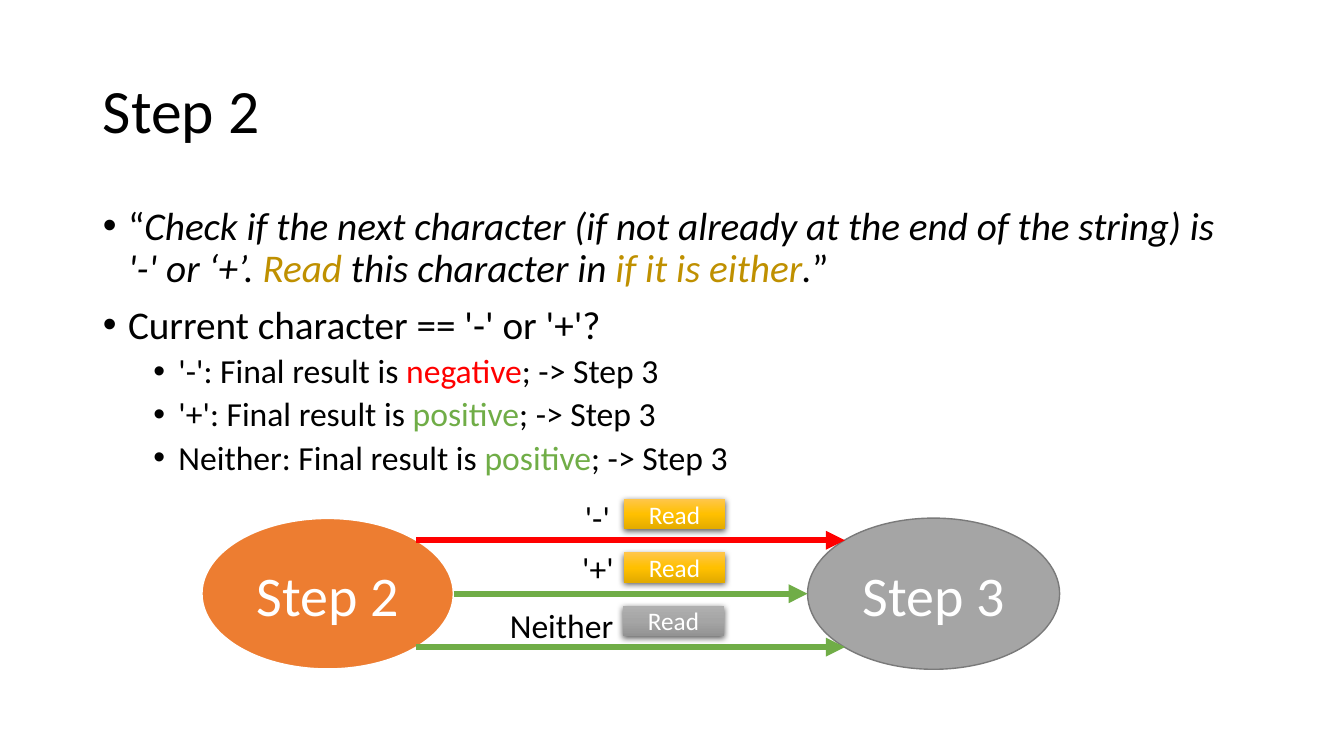
from lxml import etree
from pptx import Presentation
from pptx.dml.color import RGBColor
from pptx.enum.shapes import MSO_CONNECTOR, MSO_SHAPE
from pptx.enum.text import MSO_ANCHOR, MSO_AUTO_SIZE, PP_ALIGN
from pptx.oxml import parse_xml
from pptx.oxml.ns import nsdecls, qn
from pptx.util import Emu, Pt

OVAL, RECT = MSO_SHAPE.OVAL, MSO_SHAPE.RECTANGLE
STRAIGHT = MSO_CONNECTOR.STRAIGHT
LEFT, CENTER = PP_ALIGN.LEFT, PP_ALIGN.CENTER
MIDDLE, TOP = MSO_ANCHOR.MIDDLE, MSO_ANCHOR.TOP
NO_FIT, GROW = MSO_AUTO_SIZE.NONE, MSO_AUTO_SIZE.SHAPE_TO_FIT_TEXT

FONT = "Calibri"
PX = 9144  # 100 px to the inch
BLACK, WHITE, RED, GREEN, GOLD = "000000", "FFFFFF", "FF0000", "70AD47", "BF9000"
YELLOW_FADE = ("FFC64B", "FFC000", "E3AB00")
GRAY_FADE = ("AFAFAF", "A5A5A5", "939393")

TITLE = "Step 2"
# level, runs of (text, colour, italic)
BULLETS = [
    (0, [("“", BLACK, False),
         ("Check if the next character (if not already at the end of the string) is "
          "'-' or ‘+’. ", BLACK, True),
         ("Read", GOLD, True), (" this character in ", BLACK, True),
         ("if it is either", GOLD, True), (".", BLACK, True), ("”", BLACK, False)]),
    (0, [("Current character == '-' or '+'?", BLACK, False)]),
] + [
    (1, [(f"{case}: Final result is ", BLACK, False), (sign, color, False),
         ("; -> Step 3", BLACK, False)])
    for case, sign, color in [("'-'", "negative", RED), ("'+'", "positive", GREEN),
                              ("Neither", "positive", GREEN)]
]
LEVELS = [(28, 10, 25), (24, 5, 75)]  # size pt, space before pt, indent px
HANG = 25

# text, left, fill, line, line width
STATES = [("Step 2", 200, "ED7D31", WHITE, 1.5), ("Step 3", 801, "A5A5A5", "7A7A7A", 1)]
STATE_TOP, STATE_W, STATE_H = 514, 250, 150

# label, label box (left, top, width), arrow ends, colour, badge left, badge fade
ARROWS = [
    ("'-'", (570, 488, 45), (413, 838), RED, 619, YELLOW_FADE),
    ("'+'", (567, 539, 52), (450, 801), GREEN, 619, YELLOW_FADE),
    ("Neither", (495, 595, 124), (413, 838), GREEN, 618, GRAY_FADE),
]
ARROW_TOP, ARROW_STEP = 536, 53
BADGE_W, BADGE_H, BADGE_RISE = 100, 30, 41


def px(*values):
    return [Emu(v * PX) for v in values]


def rgb(color):
    return RGBColor.from_string(color)


def style(font, size, color, italic=False):
    font.name, font.size, font.italic = FONT, Pt(size), italic
    font.color.rgb = rgb(color)


def place(s, *box):
    s.left, s.top, s.width, s.height = px(*box)


def write(s, text, size, color, align=CENTER, anchor=MIDDLE):
    tf = s.text_frame
    tf.text = text
    tf.vertical_anchor = anchor
    p = tf.paragraphs[0]
    p.alignment = align
    style(p.runs[0].font, size, color)
    return tf


def add_bullet(p, level, runs, first):
    size, before, indent = LEVELS[level]
    p.level = level
    pPr = p._p.get_or_add_pPr()
    pPr.set("marL", str(indent * PX))
    pPr.set("indent", str(-HANG * PX))
    etree.SubElement(pPr, qn("a:buFont")).set("typeface", "Arial")
    etree.SubElement(pPr, qn("a:buChar")).set("char", "•")
    p.line_spacing = 0.9
    p.space_before = Pt(0 if first else before)
    for text, color, italic in runs:
        r = p.add_run()
        r.text = text
        style(r.font, size, color, italic)


def add_state(shapes, text, left, fill, line, width):
    s = shapes.add_shape(OVAL, *px(left, STATE_TOP, STATE_W, STATE_H))
    s.shadow.inherit = False
    s.fill.solid()
    s.fill.fore_color.rgb = rgb(fill)
    s.line.color.rgb = rgb(line)
    s.line.width = Pt(width)
    write(s, text, 40, WHITE)


def add_arrow(shapes, x1, x2, y, color):
    s = shapes.add_connector(STRAIGHT, *px(x1, y, x2, y))
    s.line.color.rgb = rgb(color)
    s.line.width = Pt(4.5)
    etree.SubElement(s.line._get_or_add_ln(), qn("a:tailEnd")).set("type", "triangle")
    etree.SubElement(s._element.spPr, qn("a:effectLst"))


def add_badge(shapes, left, top, fade):
    """Add a "Read" box with a three-stop fade and a soft shadow below."""
    s = shapes.add_shape(RECT, *px(left, top, BADGE_W, BADGE_H))
    s.line.fill.background()
    s.fill.gradient()
    s.fill.gradient_angle = 270
    spPr = s._element.spPr
    stops = spPr.find(qn("a:gradFill")).find(qn("a:gsLst"))
    for stop in list(stops):
        stops.remove(stop)
    for i, color in enumerate(fade):
        stop = etree.SubElement(stops, qn("a:gs"), pos=str(i * 50000))
        etree.SubElement(stop, qn("a:srgbClr"), val=color)
    spPr.append(parse_xml(
        f'<a:effectLst {nsdecls("a")}><a:outerShdw blurRad="{Pt(4.5)}" dist="{Pt(1.5)}" '
        'dir="5400000" algn="ctr" rotWithShape="0"><a:srgbClr val="000000">'
        '<a:alpha val="63000"/></a:srgbClr></a:outerShdw></a:effectLst>'))
    write(s, "Read", 18, WHITE)


def main():
    prs = Presentation()
    prs.slide_width, prs.slide_height = px(1333, 750)
    slide = prs.slides.add_slide(prs.slide_layouts[1])
    shapes = slide.shapes

    title, body = slide.placeholders
    place(title, 92, 40, 1150, 145)
    tf = write(title, TITLE, 44, BLACK, LEFT)
    tf.auto_size = NO_FIT
    tf.paragraphs[0].line_spacing = 0.9

    place(body, 92, 200, 1150, 476)
    tf = body.text_frame
    tf.auto_size = NO_FIT
    for i, (level, runs) in enumerate(BULLETS):
        p = tf.add_paragraph() if i else tf.paragraphs[0]
        add_bullet(p, level, runs, i == 0)

    for state in STATES:
        add_state(shapes, *state)

    for i, (label, (left, top, width), ends, color, badge_left, fade) in enumerate(ARROWS):
        y = ARROW_TOP + i * ARROW_STEP
        add_arrow(shapes, *ends, y, color)
        s = shapes.add_textbox(*px(left, top, width, 50))
        tf = write(s, label, 24, BLACK, anchor=TOP)
        tf.word_wrap = False
        tf.auto_size = GROW
        add_badge(shapes, badge_left, y - BADGE_RISE, fade)

    prs.save("out.pptx")


if __name__ == "__main__":
    main()
